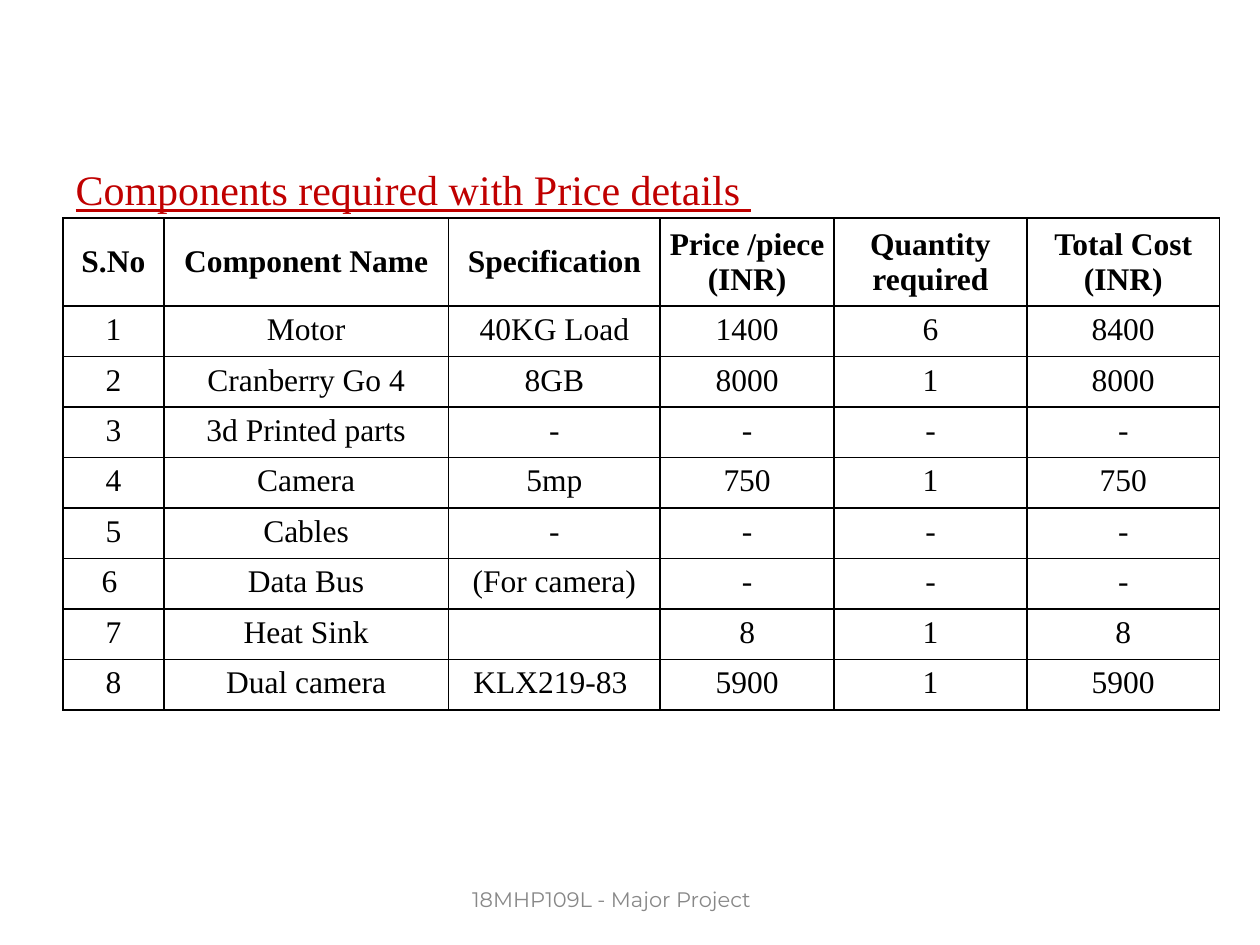
from dataclasses import dataclass

from lxml import etree
from pptx import Presentation
from pptx.dml.color import RGBColor
from pptx.enum.text import MSO_ANCHOR, MSO_AUTO_SIZE, PP_ALIGN
from pptx.oxml.ns import qn
from pptx.util import Emu, Pt

LEFT, CENTER = PP_ALIGN.LEFT, PP_ALIGN.CENTER
TOP, MIDDLE = MSO_ANCHOR.TOP, MSO_ANCHOR.MIDDLE
FIT_SHAPE = MSO_AUTO_SIZE.SHAPE_TO_FIT_TEXT

PX = 9144  # EMU per px, 100 px to the inch
INSET = 5
BORDER_PT = 0.96
SERIF, SANS = "Times New Roman", "Montserrat"
COLORS = {"heading": "C00000", "ink": "000000", "footer": "888888"}


@dataclass(frozen=True)
class Style:
    font: str
    size: int
    color: str
    bold: bool = False
    underline: bool = False
    align: PP_ALIGN = CENTER


@dataclass(frozen=True)
class Label:
    text: str
    left: int
    top: int
    width: int
    height: int
    style: Style
    anchor: MSO_ANCHOR
    line_spacing: float = 1.0


@dataclass(frozen=True)
class Column:
    title: str
    width: int
    values: tuple[str, ...]


LABELS = [
    Label("Components required with Price details ", 55, 105, 928, 46,
          Style(SERIF, 24, "heading", underline=True, align=LEFT), TOP, 1.5),
    Label("18MHP109L - Major Project", 322, 697, 327, 33,
          Style(SANS, 12, "footer"), MIDDLE),
]

COLUMNS = [
    Column("S.No", 80, ("1", "2", "3", "4", "5", "6 ", "7", "8")),
    Column("Component Name", 226,
           ("Motor", "Cranberry Go 4", "3d Printed parts", "Camera",
            "Cables", "Data Bus", "Heat Sink", "Dual camera")),
    Column("Specification", 168,
           ("40KG Load", "8GB", "-", "5mp", "-", "(For camera)", "", "KLX219-83 ")),
    Column("Price /piece (INR)", 138,
           ("1400", "8000", "-", "750", "-", "-", "8", "5900")),
    Column("Quantity required", 153, ("6", "1", "-", "1", "-", "-", "1", "1")),
    Column("Total Cost (INR)", 153,
           ("8400", "8000", "-", "750", "-", "-", "8", "5900")),
]
TABLE_LEFT, TABLE_TOP = 50, 173
HEADER_HEIGHT, ROW_HEIGHT = 70, 40
HEADER_STYLE = Style(SERIF, 18, "ink", bold=True)
BODY_STYLE = Style(SERIF, 18, "ink")


def px(value: int) -> Emu:
    return Emu(value * PX)


def add_text(p, text: str, style: Style) -> None:
    p.alignment = style.align
    if not text:
        return
    r = p.add_run()
    r.text = text
    r.font.name = style.font
    r.font.size = Pt(style.size)
    r.font.bold = style.bold
    r.font.underline = style.underline
    r.font.color.rgb = RGBColor.from_string(COLORS[style.color])


def set_insets(frame) -> None:
    frame.margin_left = frame.margin_right = px(INSET)
    frame.margin_top = frame.margin_bottom = px(INSET)


def add_label(slide, label: Label) -> None:
    s = slide.shapes.add_textbox(px(label.left), px(label.top),
                                 px(label.width), px(label.height))
    tf = s.text_frame
    tf.word_wrap = True
    tf.auto_size = FIT_SHAPE
    tf.vertical_anchor = label.anchor
    set_insets(tf)
    p = tf.paragraphs[0]
    p.line_spacing = label.line_spacing
    add_text(p, label.text, label.style)


def add_borders(cell) -> None:
    # Border lines come before the fill in the cell properties
    tc_pr = cell._tc.get_or_add_tcPr()
    for i, side in enumerate(("a:lnL", "a:lnR", "a:lnT", "a:lnB")):
        ln = etree.Element(qn(side), w=str(Pt(BORDER_PT)))
        fill = etree.SubElement(ln, qn("a:solidFill"))
        etree.SubElement(fill, qn("a:srgbClr"), val=COLORS["ink"])
        tc_pr.insert(i, ln)


def fill_cell(cell, text: str, style: Style, anchor: MSO_ANCHOR) -> None:
    set_insets(cell)
    cell.vertical_anchor = anchor
    cell.fill.background()
    add_borders(cell)
    add_text(cell.text_frame.paragraphs[0], text, style)


def add_price_table(slide, columns: list[Column]) -> None:
    body_rows = len(columns[0].values)
    width = sum(column.width for column in columns)
    height = HEADER_HEIGHT + body_rows * ROW_HEIGHT
    table = slide.shapes.add_table(body_rows + 1, len(columns), px(TABLE_LEFT),
                                   px(TABLE_TOP), px(width), px(height)).table
    table.first_row = table.horz_banding = False
    for i, row in enumerate(table.rows):
        row.height = px(ROW_HEIGHT if i else HEADER_HEIGHT)
    for c, column in enumerate(columns):
        table.columns[c].width = px(column.width)
        fill_cell(table.cell(0, c), column.title, HEADER_STYLE, MIDDLE)
        for i, value in enumerate(column.values, 1):
            fill_cell(table.cell(i, c), value, BODY_STYLE, TOP)


def main() -> None:
    prs = Presentation()
    prs.slide_width, prs.slide_height = px(1000), px(750)
    slide = prs.slides.add_slide(prs.slide_layouts[6])

    heading, footer = LABELS
    add_label(slide, heading)
    add_price_table(slide, COLUMNS)
    add_label(slide, footer)

    prs.save("out.pptx")


if __name__ == "__main__":
    main()
